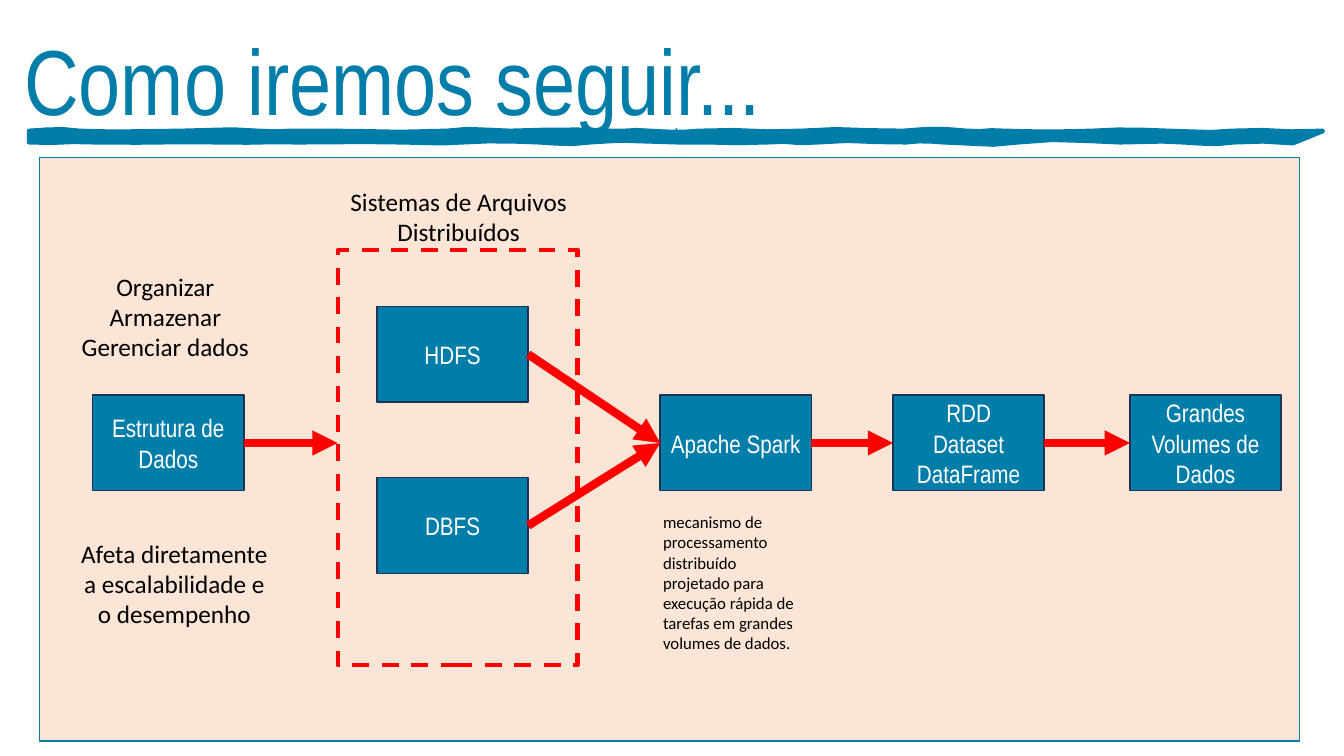
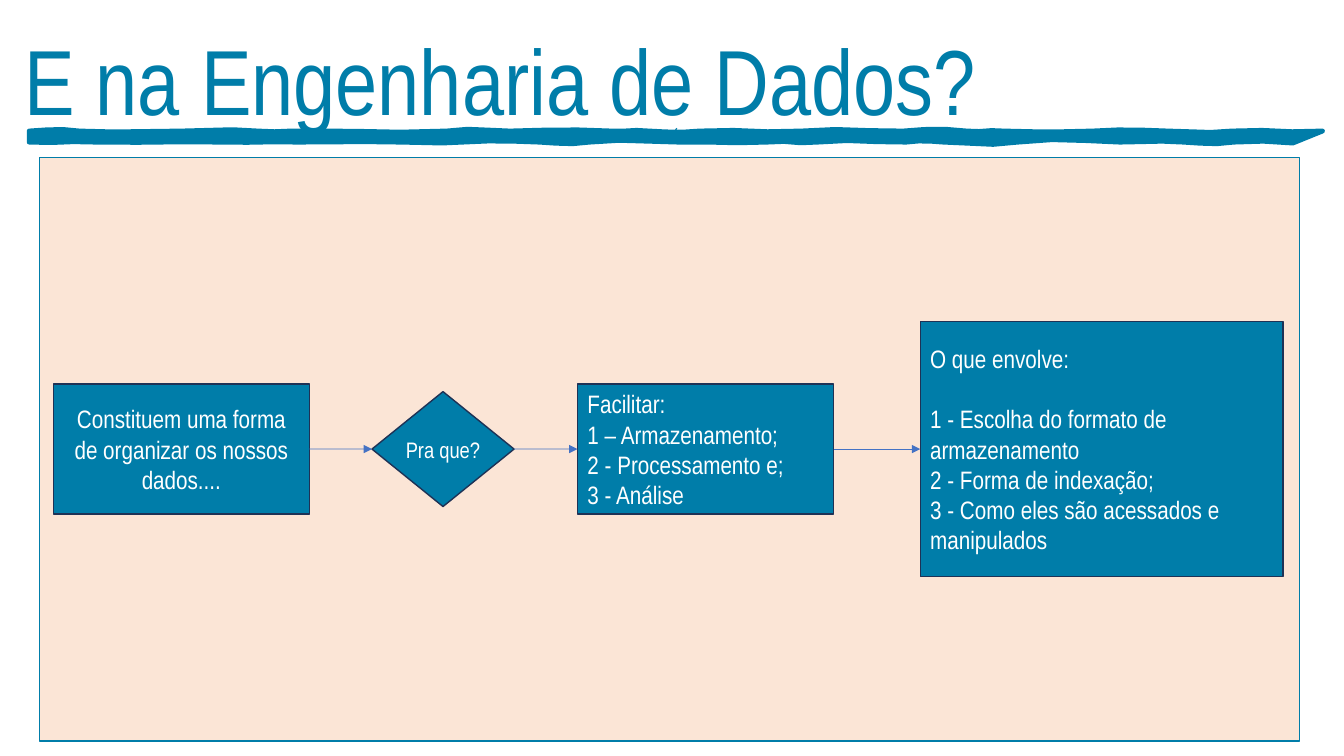
from pptx import Presentation
from pptx.dml.color import RGBColor
from pptx.enum.dml import MSO_LINE
from pptx.enum.shapes import MSO_CONNECTOR, MSO_SHAPE
from pptx.enum.text import MSO_ANCHOR, MSO_AUTO_SIZE, PP_ALIGN
from pptx.oxml.ns import qn
from pptx.util import Inches, Pt
from lxml import etree

RECT, DIAMOND = MSO_SHAPE.RECTANGLE, MSO_SHAPE.DIAMOND
LEFT, CENTER = PP_ALIGN.LEFT, PP_ALIGN.CENTER
TOP, MIDDLE = MSO_ANCHOR.TOP, MSO_ANCHOR.MIDDLE
DASH, STRAIGHT = MSO_LINE.DASH, MSO_CONNECTOR.STRAIGHT
FIXED = MSO_AUTO_SIZE.NONE

BLUE, NAVY, PEACH = "007DA9", "1E3256", "FBE5D6"
RED, THIN, WHITE, BLACK = "FF0000", "4472C4", "FFFFFF", "000000"
HEAD, BODY = "Arial Narrow", "Calibri"

# Boxes in inches: left, top, width, height
TITLE = (0.14, 0.18, 11.47, 1.21)
PANEL = (0.39, 1.56, 12.5, 5.79)
BAND = (0.29, 1.3, 12.83, 0.11)

# Brush edges: end of each wave, then the bends of its curve (1/100 inch)
UPPER = [(0.79, -1, -3), (1.8, 2, 0), (2.56, 0, -3), (3.05, 2, -1),
         (4.43, -1, 3), (5.06, -4, 0), (6.07, -1, -2), (6.44, 1, -2),
         (6.94, 1, 2), (7.95, -3, 3), (8.96, -4, 1), (9.59, -2, -3),
         (9.96, 2, -2), (10.84, 1, 1), (11.59, -2, -1), (12.22, 0, 3),
         (13.12, -3, 3)]
LOWER = [(12.24, 4, -4), (11.74, 3, 1), (11.11, -2, 0), (10.1, -1, -5),
         (9.36, 5, 0), (8.99, -1, -2), (8.11, 1, -4), (7.61, 3, -3),
         (6.73, 2, -1), (5.85, 0, -4), (5.35, 3, 1), (4.59, -1, -2),
         (3.97, 2, 0), (2.96, -1, 0), (2.2, -1, 1), (0.95, -1, 1),
         (0.29, -2, 2)]


def rgb(code):
    return RGBColor.from_string(code)


def part(box, x, y, w, h):
    """Box within a box, given in hundredths of its width and height."""
    left, top, wide, high = box
    return (left + wide * x / 100, top + high * y / 100,
            wide * w / 100, high * h / 100)


def place(box):
    return [Inches(n) for n in box]


def paint(shape, fill=None, line=None, width=1, dash=None):
    shape.shadow.inherit = False
    if fill:
        shape.fill.solid()
        shape.fill.fore_color.rgb = rgb(fill)
    else:
        shape.fill.background()
    shape.line.color.rgb = rgb(line)
    shape.line.width = Pt(width)
    if dash:
        shape.line.dash_style = dash


def write(shape, text, size=18, font=HEAD, color=WHITE, align=CENTER,
          anchor=MIDDLE, wrap=True, gaps=None):
    """Fill a shape with text; gaps maps a paragraph to its space before."""
    frame = shape.text_frame
    frame.word_wrap = wrap
    frame.auto_size = FIXED
    frame.vertical_anchor = anchor
    frame.text = text
    for i, para in enumerate(frame.paragraphs):
        para.alignment = align
        para.space_before = Pt((gaps or {}).get(i, 0))
        para.font.size = Pt(size)
        para.font.name = font
        para.font.color.rgb = rgb(color)


def node(slide, box, text, kind=RECT, **form):
    shape = slide.shapes.add_shape(kind, *place(box))
    paint(shape, BLUE, NAVY)
    write(shape, text, **form)
    return shape


def note(slide, box, text, **form):
    write(slide.shapes.add_textbox(*place(box)), text,
          font=BODY, color=BLACK, anchor=TOP, **form)


def arrow(slide, start, end, color, width):
    """Arrow from a shape's right side to a shape's left side or a point."""
    point = (0, 0) if hasattr(end, "shape_id") else place(end)
    link = slide.shapes.add_connector(STRAIGHT, 0, 0, *point)
    link.begin_connect(start, 3)
    if hasattr(end, "shape_id"):
        link.end_connect(end, 1)
    link.line.color.rgb = rgb(color)
    link.line.width = Pt(width)
    tip = etree.SubElement(link.line._get_or_add_ln(), qn("a:tailEnd"))
    tip.set("type", "triangle")
    etree.SubElement(link._element.spPr, qn("a:effectLst"))


def curve(x, y, waves, steps=3):
    """Points along a chain of curves that all end at height y, in EMU."""
    points = []
    for end, first, last in waves:
        for t in (i / steps for i in range(1, steps + 1)):
            bend = 3 * t * (1 - t) * (first * (1 - t) + last * t) / 100
            points.append((Inches(x + (end - x) * t), Inches(y + bend)))
        x = end
    return points


def brush(slide, box):
    left, top, wide, high = box
    pen = slide.shapes.build_freeform(Inches(left), Inches(top))
    pen.add_line_segments(curve(left, top, UPPER)
                          + curve(left + wide, top + high, LOWER))
    stroke = pen.convert_to_shape()
    paint(stroke, BLUE, BLUE, 3.5)
    write(stroke, "‘", font=BODY, color=BLUE)


def page(deck, text):
    """Slide with title, brush stroke and panel."""
    slide = deck.slides.add_slide(deck.slide_layouts[5])
    title = slide.shapes.title
    title.left, title.top, title.width, title.height = place(TITLE)
    write(title, text, size=66, color=BLUE, align=LEFT, anchor=TOP)
    paint(slide.shapes.add_shape(RECT, *place(PANEL)), PEACH, BLUE)
    brush(slide, BAND)
    return slide


def route(slide, box):
    """From data structures to large volumes of data."""
    row, mid = 40.76, 48.96

    # Steps
    spots = [(4.24, row, "Estrutura de Dados"), (26.8, 25.56, "HDFS"),
             (26.8, 54.92, "DBFS"), (49.28, row, "Apache Spark"),
             (67.76, row, "RDD\nDataset\nDataFrame"),
             (86.56, row, "Grandes Volumes de Dados")]
    base, hdfs, dbfs, spark, frames, goal = [
        node(slide, part(box, x, y, 12, 16.4), text) for x, y, text in spots]

    # File systems frame
    frame = slide.shapes.add_shape(
        RECT, *place(part(box, 23.68, 15.89, 19.04, 71.16)))
    paint(frame, None, RED, 3, DASH)

    # Notes
    for spot, text in [
            ((2.32, 18.65, 15.36, 17.44),
             "Organizar Armazenar Gerenciar dados"),
            ((2.32, 64.42, 16.8, 17.44),
             "Afeta diretamente a escalabilidade e o desempenho"),
            ((21.6, 4.15, 23.36, 12.26),
             "Sistemas de Arquivos Distribuídos")]:
        note(slide, part(box, *spot), text)
    note(slide, part(box, 48.72, 59.93, 12, 26.08),
         "mecanismo de processamento distribuído projetado para execução "
         "rápida de tarefas em grandes volumes de dados.",
         size=12, align=LEFT)

    # Arrows
    edge = part(box, 23.68, mid, 0, 0)[:2]
    for start, end in [(dbfs, spark), (hdfs, spark), (base, edge),
                       (spark, frames), (frames, goal)]:
        arrow(slide, start, end, RED, 6)


def chain(slide, box):
    """What data structures are, what for, and what they involve."""
    row, wide, high = 38.86, 20.32, 22.28
    steps = [
        node(slide, part(box, 1.12, row, wide, high),
             "Constituem uma forma de organizar os nossos dados...."),
        node(slide, part(box, 26.4, 40.16, 11.28, 19.69), "Pra que?",
             DIAMOND, size=16, wrap=False),
        node(slide, part(box, 42.72, row, wide, high),
             "Facilitar:\n1 – Armazenamento;\n2 - Processamento e;\n"
             "3 - Análise", align=LEFT),
        node(slide, part(box, 69.92, 28.15, 28.8, 43.7),
             "O que envolve:\n1 - Escolha do formato de armazenamento\n"
             "2 - Forma de indexação;\n"
             "3 - Como eles são acessados e manipulados",
             align=LEFT, gaps={1: 21.6})]
    for start, end in zip(steps, steps[1:]):
        arrow(slide, start, end, THIN, 0.5)


def main():
    deck = Presentation()
    deck.slide_width, deck.slide_height = Inches(40 / 3), Inches(7.5)
    route(page(deck, "Como iremos seguir..."), PANEL)
    chain(page(deck, "E na Engenharia de Dados?"), PANEL)
    deck.save("out.pptx")


if __name__ == "__main__":
    main()
